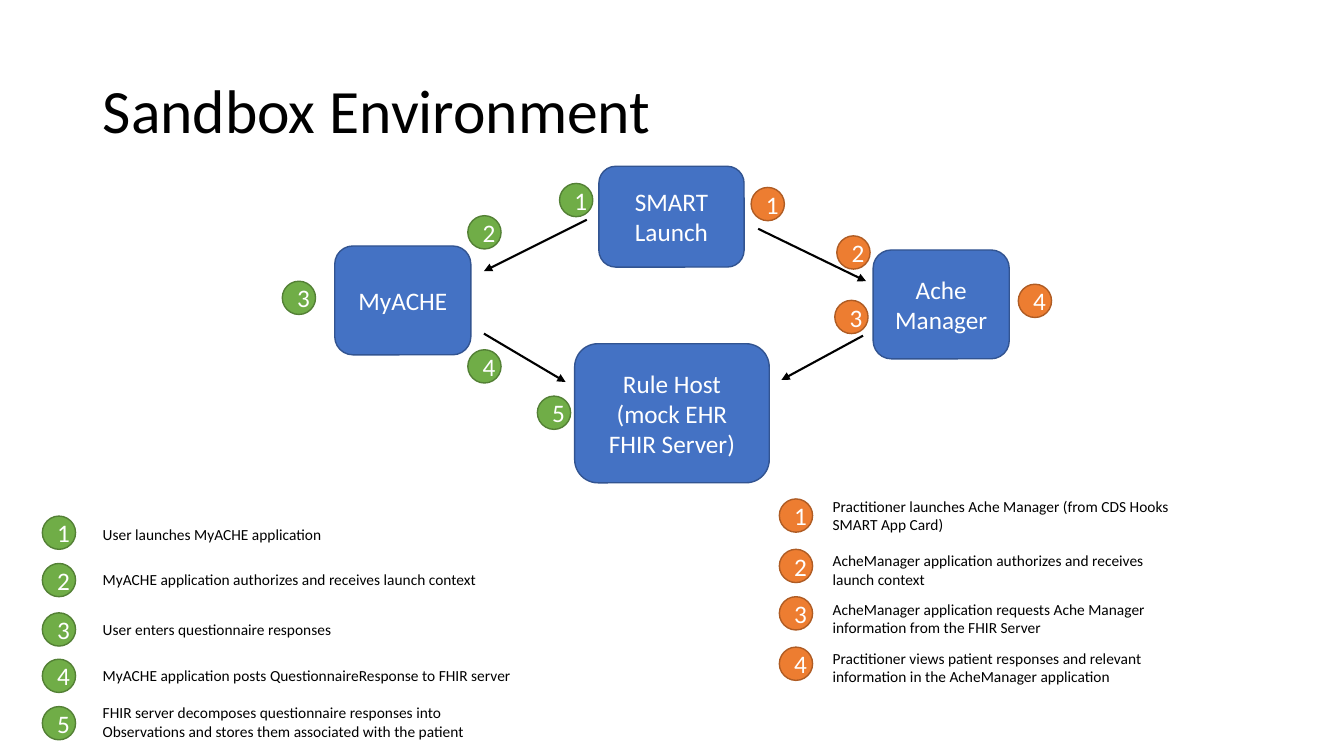
import pptx
import pptx.util
import pptx.dml.color
import pptx.enum.shapes
import pptx.enum.text
import pptx.oxml
import pptx.oxml.ns

Inches = pptx.util.Inches
Pt = pptx.util.Pt
SHAPE = pptx.enum.shapes.MSO_SHAPE
ANCHOR = pptx.enum.text.MSO_ANCHOR
ALIGN = pptx.enum.text.PP_ALIGN

FONT = "Calibri"
BADGE = 0.33
COLORS = {
    "text": "000000",
    "light": "FFFFFF",
    "box": "4472C4",
    "box_line": "325491",
    "patient": "70AD47",
    "patient_line": "538035",
    "clinician": "ED7D31",
    "clinician_line": "AF5C24",
}

SYSTEMS = [
    ("Rule Host (mock EHR FHIR Server)", 2.9, 1.76, 1.93, 1.38),
    ("MyACHE", 0.52, 0.79, 1.35, 1.08),
    ("SMART Launch", 3.14, 0, 1.44, 1),
    ("Ache Manager", 5.86, 0.83, 1.35, 1.08),
]
ARROWS = [
    (3.02, 0.53, 2, 1.04),
    (2, 1.66, 2.81, 2.14),
    (4.72, 0.62, 5.79, 1.14),
    (5.76, 1.68, 4.95, 2.12),
]
STEPS = {
    "patient": [(2.75, 0.17), (1.84, 0.49), (0, 1.14), (1.84, 1.82), (2.53, 2.28)],
    "clinician": [(4.65, 0.21), (5.5, 0.69), (5.48, 1.33), (7.3, 1.17)],
}
PATIENT_LEGEND = [
    (0, 0.04, 1, "User launches MyACHE application"),
    (0.47, 0.49, 1, "MyACHE application authorizes and receives launch context"),
    (0.96, 0.98, 1, "User enters questionnaire responses"),
    (1.42, 1.44, 1, "MyACHE application posts QuestionnaireResponse to FHIR server"),
    (1.89, 1.81, 2, "FHIR server decomposes questionnaire responses into "
                    "Observations and stores them associated with the patient"),
]
CLINICIAN_LEGEND = [
    (0.07, 0, 2, "Practitioner launches Ache Manager (from CDS Hooks SMART App Card)"),
    (0.57, 0.54, 2, "AcheManager application authorizes and receives launch context"),
    (1.04, 1.02, 2, "AcheManager application requests Ache Manager "
                    "information from the FHIR Server"),
    (1.54, 1.51, 2, "Practitioner views patient responses and relevant "
                    "information in the AcheManager application"),
]


def color(name):
    return pptx.dml.color.RGBColor.from_string(COLORS[name])


def write(shape, text, size, color_name, alignment=ALIGN.LEFT):
    frame = shape.text_frame
    frame.text = text
    frame.word_wrap = True
    paragraph = frame.paragraphs[0]
    paragraph.alignment = alignment
    font = paragraph.runs[0].font
    font.name = FONT
    font.size = Pt(size)
    font.color.rgb = color(color_name)


def add_node(slide, kind, palette, text, left, top, width, height):
    shape = slide.shapes.add_shape(
        kind, Inches(left), Inches(top), Inches(width), Inches(height))
    shape.shadow.inherit = False
    shape.fill.solid()
    shape.fill.fore_color.rgb = color(palette)
    shape.line.color.rgb = color(palette + "_line")
    shape.line.width = Pt(1)
    write(shape, text, 18, "light", ALIGN.CENTER)
    shape.text_frame.vertical_anchor = ANCHOR.MIDDLE


def add_badge(slide, palette, number, left, top):
    add_node(slide, SHAPE.OVAL, palette, str(number), left, top, BADGE, BADGE)


def add_arrow(slide, start_x, start_y, end_x, end_y):
    connector = slide.shapes.add_connector(
        pptx.enum.shapes.MSO_CONNECTOR.STRAIGHT,
        Inches(start_x), Inches(start_y), Inches(end_x), Inches(end_y))
    connector.line.color.rgb = color("text")
    connector.line.width = Pt(1.5)
    namespace = pptx.oxml.ns.nsdecls("a")
    properties = connector._element.spPr
    properties.find(pptx.oxml.ns.qn("a:ln")).append(
        pptx.oxml.parse_xml(f'<a:tailEnd {namespace} type="triangle"/>'))
    properties.append(pptx.oxml.parse_xml(f"<a:effectLst {namespace}/>"))


def place_title(slide, left, top, width, height):
    title = slide.shapes.title
    title.left, title.top = Inches(left), Inches(top)
    title.width, title.height = Inches(width), Inches(height)
    write(title, "Sandbox Environment", 44, "text")
    title.text_frame.vertical_anchor = ANCHOR.MIDDLE
    title.text_frame.paragraphs[0].line_spacing = 0.9


def draw_workflow(slide, left, top):
    for text, x, y, width, height in SYSTEMS:
        add_node(slide, SHAPE.ROUNDED_RECTANGLE, "box", text,
                 left + x, top + y, width, height)
    for start_x, start_y, end_x, end_y in ARROWS:
        add_arrow(slide, left + start_x, top + start_y, left + end_x, top + end_y)
    for palette, positions in STEPS.items():
        for number, (x, y) in enumerate(positions, 1):
            add_badge(slide, palette, number, left + x, top + y)


def draw_legend(slide, palette, entries, left, top, indent, text_width):
    for number, (badge_y, text_y, lines, text) in enumerate(entries, 1):
        add_badge(slide, palette, number, left, top + badge_y)
        label = slide.shapes.add_textbox(
            Inches(left + indent), Inches(top + text_y),
            Inches(text_width), Inches(0.11 + 0.18 * lines))
        write(label, text, 11, "text")


def main():
    presentation = pptx.Presentation()
    presentation.slide_width = Inches(13.33)
    presentation.slide_height = Inches(7.5)
    slide = presentation.slides.add_slide(presentation.slide_layouts[5])
    place_title(slide, 0.92, 0.4, 11.5, 1.45)
    draw_workflow(slide, 2.8, 1.65)
    draw_legend(slide, "patient", PATIENT_LEGEND, 0.42, 5.12, 0.5, 4.25)
    draw_legend(slide, "clinician", CLINICIAN_LEGEND, 7.73, 4.88, 0.43, 3.7)
    presentation.save("out.pptx")


if __name__ == "__main__":
    main()
